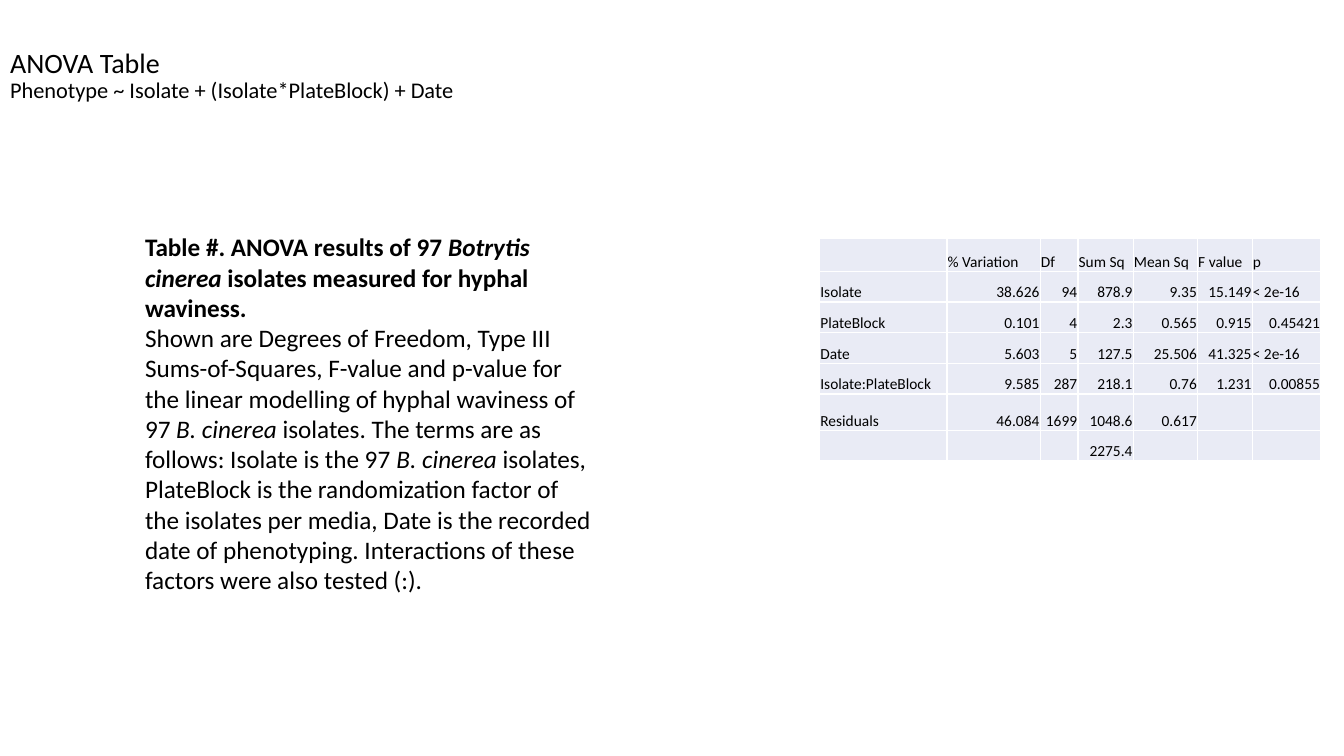
from dataclasses import dataclass

from lxml import etree
from pptx import Presentation
from pptx.dml.color import RGBColor
from pptx.enum.text import MSO_ANCHOR as Anchor, MSO_AUTO_SIZE as AutoSize, PP_ALIGN as Align
from pptx.oxml.ns import qn
from pptx.util import Pt


@dataclass(frozen=True)
class Theme:
    font: str = "Calibri"
    ink: str = "000000"
    cell: str = "E9EBF5"
    border: str = "FFFFFF"
    title: int = 20
    formula: int = 16
    caption: int = 18
    table: int = 11


THEME = Theme()

CAPTION = [
    [("Table #. ANOVA results of 97", "b"),
     (" Botrytis cinerea ", "bi"),
     ("isolates measured for hyphal waviness.", "b")],
    [("Shown are Degrees of Freedom, Type III Sums-of-Squares, F-value and p-value "
      "for the linear modelling of hyphal waviness of 97 ", ""),
     ("B. cinerea ", "i"),
     ("isolates. The terms are as follows: Isolate is the 97 ", ""),
     ("B. cinerea", "i"),
     (" isolates, PlateBlock is the randomization factor of the isolates per media, "
      "Date is the recorded date of phenotyping. Interactions of these factors were "
      "also tested (:).", "")],
]

ANOVA = [
    ["", "% Variation", "Df", "Sum Sq", "Mean Sq", "F value", "p"],
    ["Isolate", "38.626", "94", "878.9", "9.35", "15.149", "< 2e-16"],
    ["PlateBlock", "0.101", "4", "2.3", "0.565", "0.915", "0.45421"],
    ["Date", "5.603", "5", "127.5", "25.506", "41.325", "< 2e-16"],
    ["Isolate:PlateBlock", "9.585", "287", "218.1", "0.76", "1.231", "0.00855"],
    ["Residuals", "46.084", "1699", "1048.6", "0.617", "", ""],
    ["", "", "", "2275.4", "", "", ""],
]
COL_WIDTHS = [91, 66.5, 27, 39.5, 46, 39, 49]
ROW_HEIGHTS = [23.4, 21.9, 21.9, 21.9, 21.9, 26, 21.6]


def add_run(p, text, size, style=""):
    """Add a run; style may hold b for bold and i for italic."""
    r = p.add_run()
    r.text = text
    r.font.name = THEME.font
    r.font.size = Pt(size)
    r.font.color.rgb = RGBColor.from_string(THEME.ink)
    r.font.bold = "b" in style
    r.font.italic = "i" in style


def add_title(s, x, y, w, h):
    title = s.shapes.title
    title.left, title.top, title.width, title.height = Pt(x), Pt(y), Pt(w), Pt(h)
    tf = title.text_frame
    tf.auto_size = AutoSize.NONE
    tf.vertical_anchor = Anchor.MIDDLE
    p = tf.paragraphs[0]
    p.alignment = Align.LEFT
    p.line_spacing = 0.9
    add_run(p, "ANOVA Table", THEME.title)
    p.add_line_break()
    add_run(p, "Phenotype ~ Isolate + (Isolate*PlateBlock) + Date", THEME.formula)


def add_caption(s, x, y, w, h):
    tf = s.shapes.add_textbox(Pt(x), Pt(y), Pt(w), Pt(h)).text_frame
    tf.word_wrap = True
    tf.auto_size = AutoSize.SHAPE_TO_FIT_TEXT
    for i, runs in enumerate(CAPTION):
        p = tf.add_paragraph() if i else tf.paragraphs[0]
        for text, style in runs:
            add_run(p, text, THEME.caption, style)


def add_borders(cell):
    tc_pr = cell._tc.get_or_add_tcPr()
    for side in ("lnL", "lnR", "lnT", "lnB"):
        ln = etree.SubElement(tc_pr, qn(f"a:{side}"), w=str(Pt(1)))
        fill = etree.SubElement(ln, qn("a:solidFill"))
        etree.SubElement(fill, qn("a:srgbClr"), val=THEME.border)


def fill_cell(cell, text):
    """Format one cell; numbers go right, words left."""
    add_borders(cell)
    cell.fill.solid()
    cell.fill.fore_color.rgb = RGBColor.from_string(THEME.cell)
    cell.vertical_anchor = Anchor.BOTTOM
    cell.margin_left = cell.margin_right = cell.margin_top = Pt(0.5)
    cell.margin_bottom = 0
    p = cell.text_frame.paragraphs[0]
    if text:
        p.alignment = Align.RIGHT if text[0].isdigit() else Align.LEFT
        add_run(p, text, THEME.table)
    else:
        etree.SubElement(p._p, qn("a:endParaRPr"), sz=str(THEME.table * 100))


def add_anova_table(s, x, y):
    table = s.shapes.add_table(len(ANOVA), len(ANOVA[0]), Pt(x), Pt(y),
                               Pt(sum(COL_WIDTHS)), Pt(sum(ROW_HEIGHTS))).table
    table.first_row = table.horz_banding = False
    for col, width in zip(table.columns, COL_WIDTHS):
        col.width = Pt(width)
    for row, height, texts in zip(table.rows, ROW_HEIGHTS, ANOVA):
        row.height = Pt(height)
        for cell, text in zip(row.cells, texts):
            fill_cell(cell, text)


def main():
    prs = Presentation()
    prs.slide_width, prs.slide_height = Pt(960), Pt(540)
    s = prs.slides.add_slide(prs.slide_layouts[5])
    add_title(s, 0, 0, 774, 108.7)
    add_caption(s, 96.5, 162, 337, 269.3)
    add_anova_table(s, 585.5, 170.5)
    prs.save("out.pptx")


if __name__ == "__main__":
    main()
